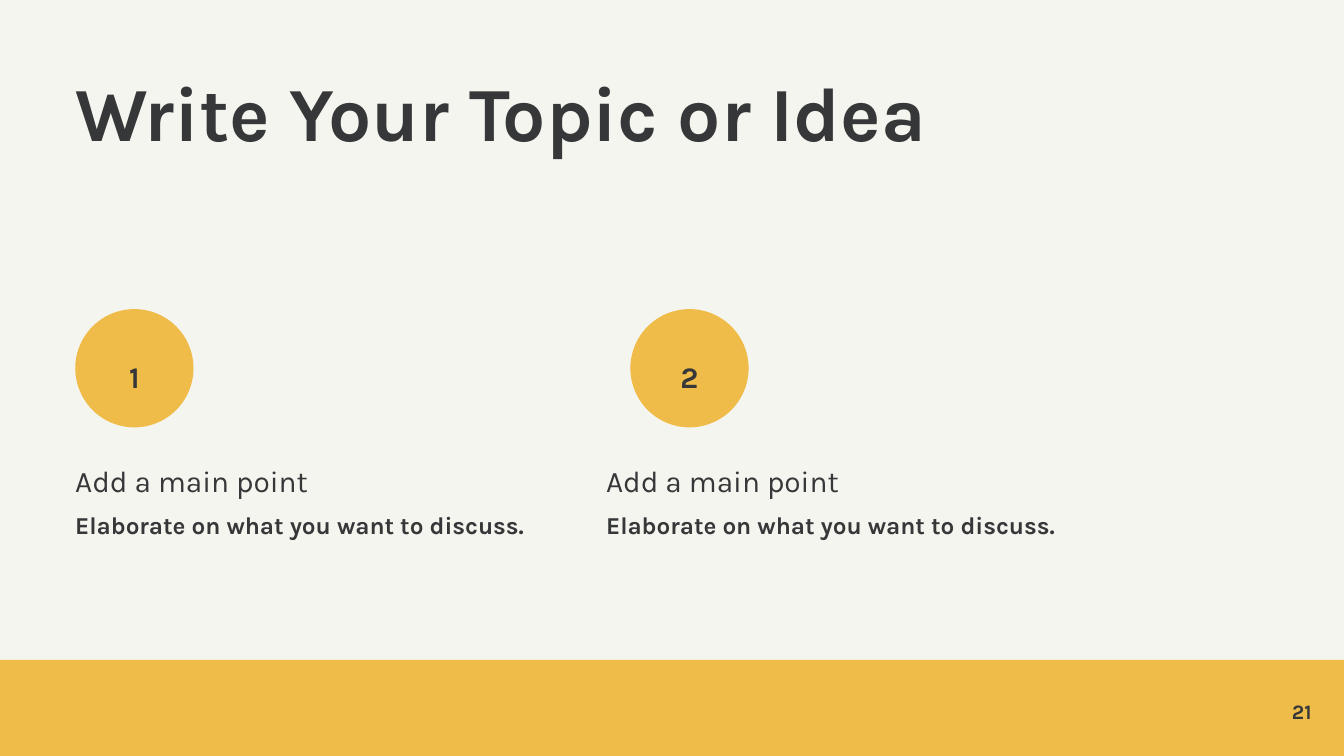
from dataclasses import dataclass
from typing import NamedTuple

from pptx import Presentation
from pptx.dml.color import RGBColor
from pptx.enum.shapes import MSO_SHAPE as Preset
from pptx.enum.text import MSO_ANCHOR as Anchor, PP_ALIGN as Align
from pptx.slide import Slide
from pptx.util import Inches, Pt


@dataclass(frozen=True)
class Theme:
    font: str = "Karla"
    paper: RGBColor = RGBColor(0xF5, 0xF5, 0xEF)
    ink: RGBColor = RGBColor(0x36, 0x37, 0x39)
    accent: RGBColor = RGBColor(0xEF, 0xBC, 0x49)
    title: int = 41
    heading: int = 16
    detail: int = 13
    page: int = 11


class Box(NamedTuple):
    left: float
    top: float
    width: float
    height: float


class Line(NamedTuple):
    text: str
    size: int
    bold: bool = True


class Point(NamedTuple):
    number: str
    circle_left: float
    text_left: float
    heading: str
    detail: str


THEME = Theme()
WIDTH = 10
HEIGHT = WIDTH * 9 / 16
MARGIN = 0.56
BAND_TOP = 4.91
CIRCLE_TOP, CIRCLE_SIZE = 2.3, 0.88
NUMBER_INSET, NUMBER_TOP = 0.23, 2.6

POINTS = [
    Point("1", MARGIN, MARGIN, "Add a main point",
          "Elaborate on what you want to discuss."),
    Point("2", 4.69, 4.51, "Add a main point",
          "Elaborate on what you want to discuss."),
]


def add_filled(slide: Slide, preset: Preset, box: Box) -> None:
    shape = slide.shapes.add_shape(preset, *map(Inches, box))
    shape.shadow.inherit = False
    shape.fill.solid()
    shape.fill.fore_color.rgb = THEME.accent
    shape.line.fill.background()


def add_text(slide: Slide, box: Box, lines: list[Line], spacing: float = 1.0,
             align: Align = Align.LEFT, anchor: Anchor = Anchor.TOP) -> None:
    frame = slide.shapes.add_textbox(*map(Inches, box)).text_frame
    frame.word_wrap = True
    frame.vertical_anchor = anchor
    frame.margin_left = frame.margin_right = Inches(0)
    frame.margin_top = frame.margin_bottom = Inches(0)
    for index, line in enumerate(lines):
        paragraph = frame.add_paragraph() if index else frame.paragraphs[0]
        paragraph.alignment = align
        paragraph.line_spacing = spacing
        run = paragraph.add_run()
        run.text = line.text
        run.font.name = THEME.font
        run.font.size = Pt(line.size)
        run.font.bold = line.bold
        run.font.color.rgb = THEME.ink


def add_point(slide: Slide, point: Point) -> None:
    add_filled(slide, Preset.OVAL,
               Box(point.circle_left, CIRCLE_TOP, CIRCLE_SIZE, CIRCLE_SIZE))
    add_text(slide, Box(point.circle_left + NUMBER_INSET, NUMBER_TOP, 0.42, 0.27),
             [Line(point.number, THEME.heading)], 1.25, Align.CENTER)
    add_text(slide, Box(point.text_left, 3.34, 3.46, 1.53),
             [Line(point.heading, THEME.heading, bold=False),
              Line(point.detail, THEME.detail)], 1.4)


def main() -> None:
    deck = Presentation()
    deck.slide_width, deck.slide_height = Inches(WIDTH), Inches(HEIGHT)
    slide = deck.slides.add_slide(deck.slide_layouts[6])
    slide.background.fill.solid()
    slide.background.fill.fore_color.rgb = THEME.paper

    add_text(slide, Box(MARGIN, 0.56, 7.09, 0.79),
             [Line("Write Your Topic or Idea", THEME.title)], 0.9)
    add_filled(slide, Preset.RECTANGLE, Box(0, BAND_TOP, WIDTH, HEIGHT - BAND_TOP))
    for point in POINTS:
        add_point(slide, point)
    add_text(slide, Box(9.16, 5.19, 0.6, 0.2), [Line("21", THEME.page)],
             align=Align.RIGHT, anchor=Anchor.MIDDLE)

    deck.save("out.pptx")


if __name__ == "__main__":
    main()
